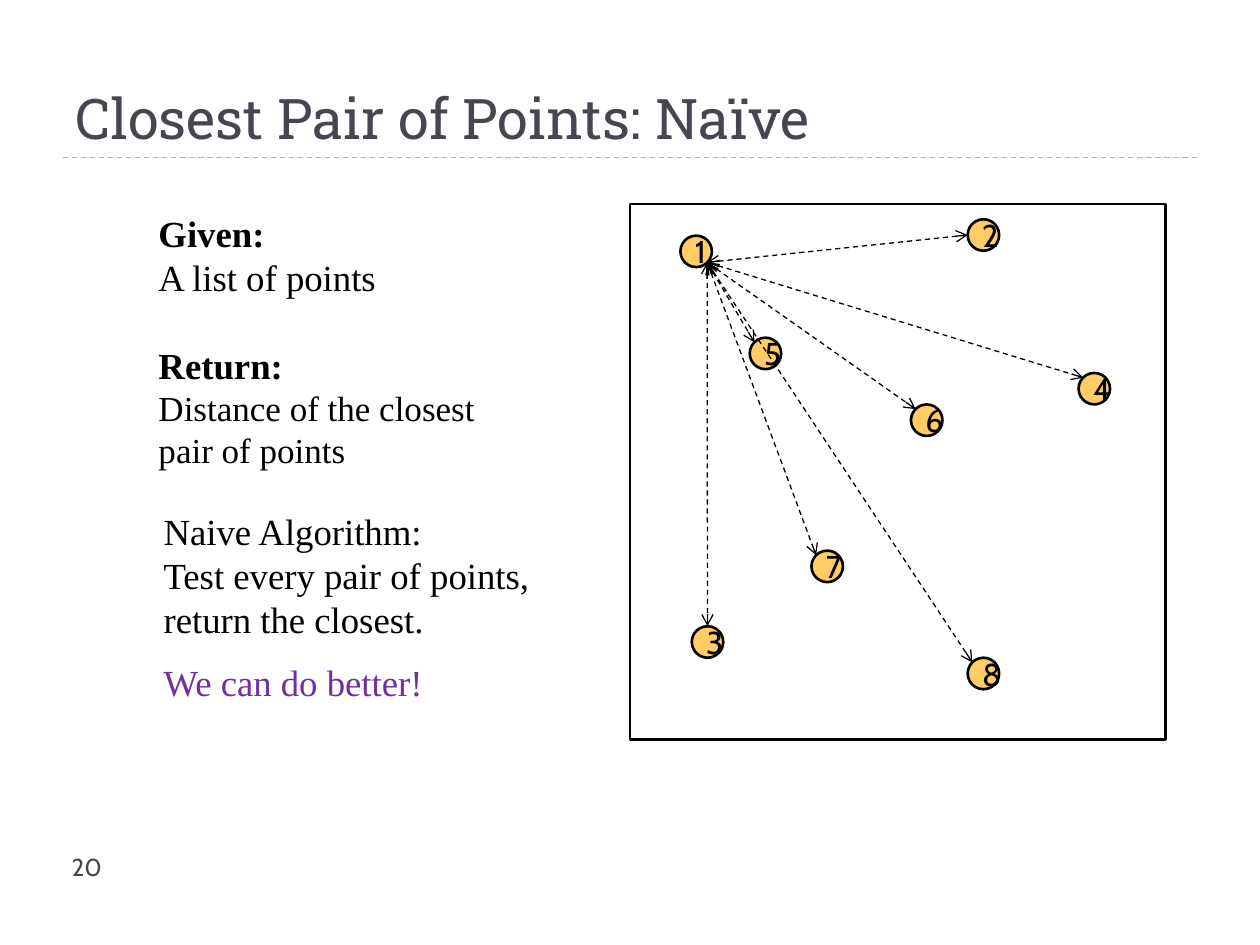
from lxml import etree
from pptx import Presentation
from pptx.dml.color import RGBColor
from pptx.enum.dml import MSO_LINE
from pptx.enum.shapes import MSO_CONNECTOR, MSO_SHAPE
from pptx.enum.text import MSO_ANCHOR, MSO_AUTO_SIZE, PP_ALIGN
from pptx.oxml.ns import qn
from pptx.util import Inches, Pt

LINE, DASH = MSO_CONNECTOR.STRAIGHT, MSO_LINE.DASH
RECT, OVAL = MSO_SHAPE.RECTANGLE, MSO_SHAPE.OVAL
LEFT, CENTER = PP_ALIGN.LEFT, PP_ALIGN.CENTER
TOP, MIDDLE, BOTTOM = MSO_ANCHOR.TOP, MSO_ANCHOR.MIDDLE, MSO_ANCHOR.BOTTOM
NO_FIT = MSO_AUTO_SIZE.NONE

CELL = 0.25
PLOT_COL, PLOT_ROW, PLOT_SIZE = 20, 6.48, 17
POINTS = [(1.6, 1), (10.72, 0.48), (1.96, 13.4), (14.24, 5.36),
          (3.8, 4.24), (8.92, 6.36), (5.76, 11), (10.72, 14.4)]
BOTTOM_RIGHT, TOP_LEFT = (0.85, 0.85), (0.15, 0.15)
END_SITES = {2: (0, 0.5), 3: (0.5, 0)}

BODY = {"name": "Times New Roman", "size": Pt(21), "bold": False}
HEADING = {**BODY, "bold": True}
SMALL = {**BODY, "size": Pt(20)}
TITLE = {"name": "Roboto Slab", "size": Pt(32)}
NUMBER = {"name": "Cabin", "size": Pt(14)}
LABEL = {"name": "Cabin", "size": Pt(18)}
BLACK, SLATE, PURPLE = "000000", "464653", "7030A0"


def grid(*cells):
    return [Inches(c * CELL) for c in cells]


def rgb(value):
    return RGBColor.from_string(value)


def write(tf, lines, color, align=LEFT, anchor=TOP, wrap=True):
    tf.word_wrap, tf.vertical_anchor, tf.auto_size = wrap, anchor, NO_FIT
    for i, (text, fmt, gap) in enumerate(lines):
        p = tf.add_paragraph() if i else tf.paragraphs[0]
        p.alignment = align
        if gap:
            p.space_before = Pt(gap)
        r = p.add_run()
        r.text = text
        for key, value in fmt.items():
            setattr(r.font, key, value)
        r.font.color.rgb = rgb(color)


def add_title(s, text):
    sp = s.shapes.title
    sp.left, sp.top, sp.width, sp.height = grid(2, 0.68, 36, 4.32)
    write(sp.text_frame, [(text, TITLE, 0)], SLATE, anchor=BOTTOM)


def add_text(s, box, lines, color=BLACK, wrap=True):
    sp = s.shapes.add_textbox(*grid(*box))
    write(sp.text_frame, lines, color, wrap=wrap)


def add_outline(s, kind, box, fill=None):
    sp = s.shapes.add_shape(kind, *grid(*box))
    sp.shadow.inherit = False
    if fill:
        sp.fill.solid()
        sp.fill.fore_color.rgb = rgb(fill)
    else:
        sp.fill.background()
    sp.line.color.rgb = rgb(BLACK)
    sp.line.width = Pt(1.5)
    return sp


def add_dashed(s, start, end, color, arrows=()):
    sp = s.shapes.add_connector(LINE, *grid(*start, *end))
    sp.line.color.rgb = rgb(color)
    sp.line.width = Pt(0.75)
    sp.line.dash_style = DASH
    ln = sp.line._get_or_add_ln()
    for tag in arrows:
        etree.SubElement(ln, qn(tag), type="arrow")
    etree.SubElement(sp._element.spPr, qn("a:effectLst"))


def plot_xy(number, site=(0, 0)):
    col, row = POINTS[number - 1]
    return PLOT_COL + col + site[0], PLOT_ROW + row + site[1]


def add_plot(s):
    add_outline(s, RECT, (PLOT_COL, PLOT_ROW, PLOT_SIZE, PLOT_SIZE))
    numbers = range(1, len(POINTS) + 1)
    for n in numbers:
        sp = add_outline(s, OVAL, (*plot_xy(n), 1, 1), "FFCC66")
        write(sp.text_frame, [(str(n), LABEL, 0)], BLACK, CENTER, MIDDLE)
    for n in numbers[1:]:
        add_dashed(s, plot_xy(1, BOTTOM_RIGHT),
                   plot_xy(n, END_SITES.get(n, TOP_LEFT)),
                   BLACK, ("a:headEnd", "a:tailEnd"))


def main():
    prs = Presentation()
    prs.slide_width, prs.slide_height = grid(40, 30)
    s = prs.slides.add_slide(prs.slide_layouts[5])
    add_dashed(s, (2, 5), (38, 5), "9FB8CD")
    add_title(s, "Closest Pair of Points: Naïve")
    add_text(s, (4.64, PLOT_ROW, 12.64, 8.76), [
        ("Given:", HEADING, 0),
        ("A list of points", BODY, 0),
        ("Return:", HEADING, 25),
        ("Distance of the closest pair of points", SMALL, 0)])
    add_text(s, (4.8, 15.96, 12.48, 4.64), [
        ("Naive Algorithm:", BODY, 0),
        ("Test every pair of points, return the closest.", BODY, 0)])
    add_text(s, (4.8, 20.76, 9.16, 1.8),
             [("We can do better!", BODY, 0)], PURPLE, wrap=False)
    add_plot(s)
    add_text(s, (1.88, 26.84, 7, 1.2), [("20", NUMBER, 0)], SLATE)
    prs.save("out.pptx")


if __name__ == "__main__":
    main()
